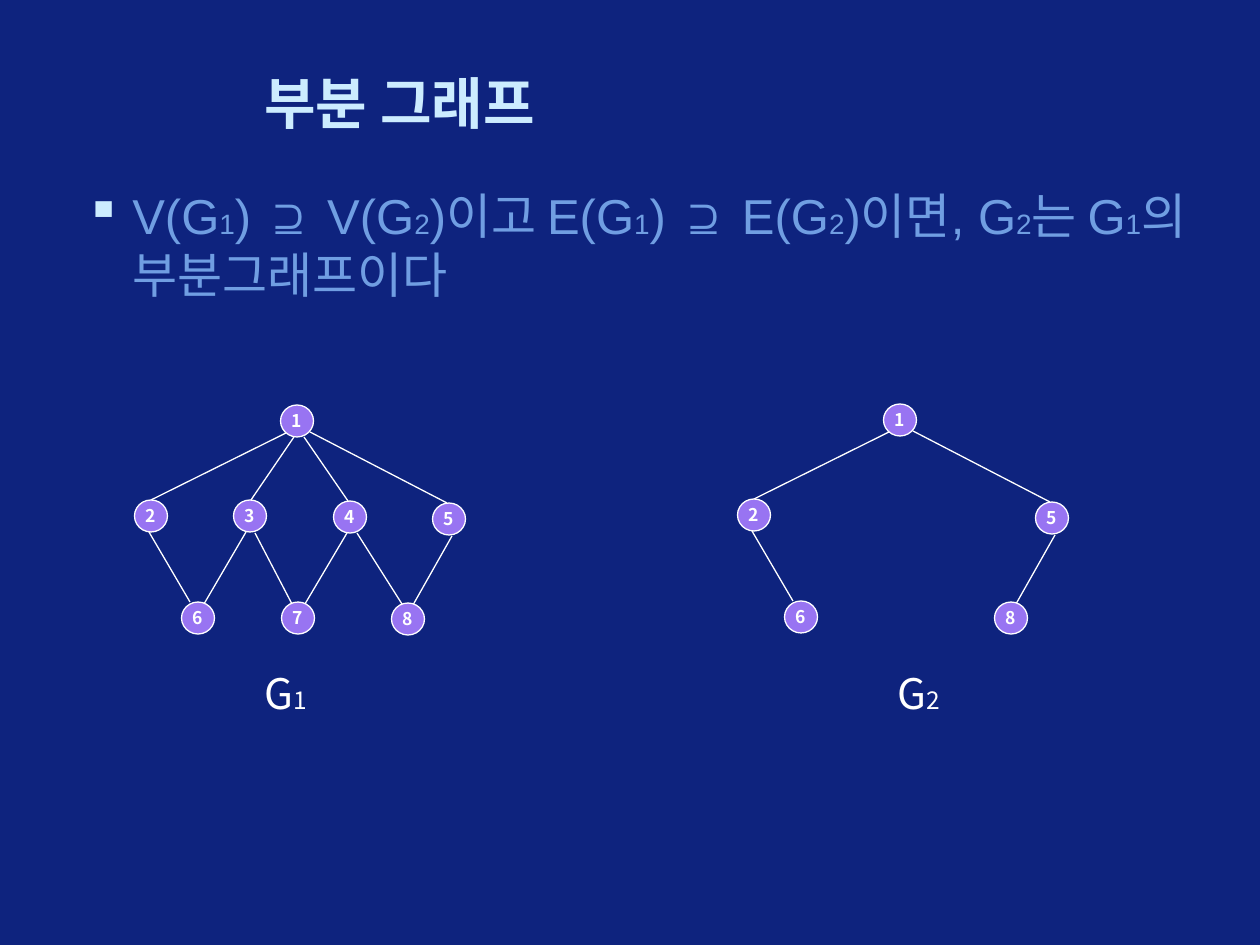
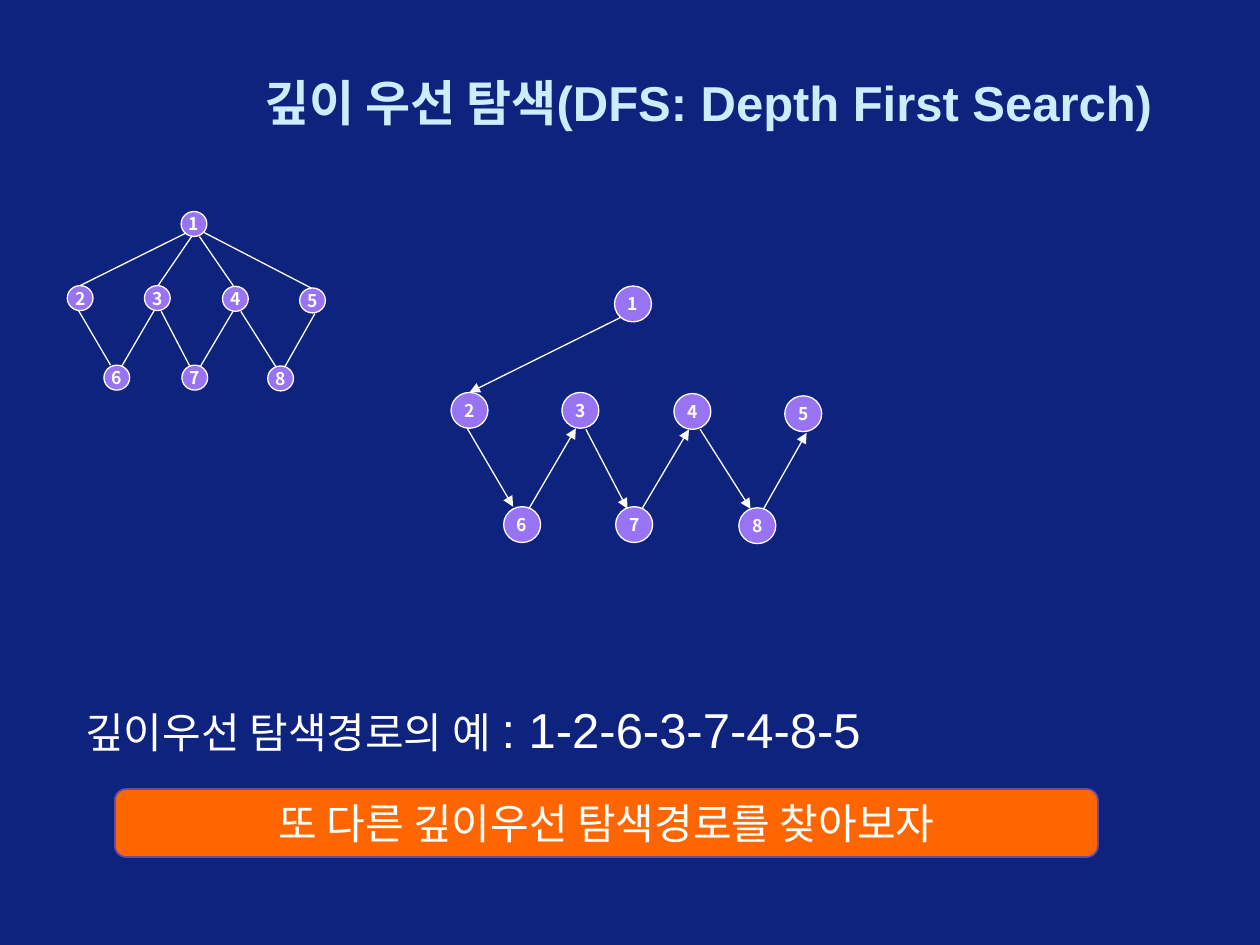
from itertools import cycle, pairwise

from lxml.etree import SubElement
from pptx import Presentation
from pptx.dml.color import RGBColor
from pptx.enum.shapes import MSO_CONNECTOR, MSO_SHAPE
from pptx.enum.text import MSO_ANCHOR, PP_ALIGN
from pptx.oxml import parse_xml
from pptx.oxml.ns import nsdecls, qn
from pptx.util import Emu, Pt

NAVY, ICE, SKY = "0E237E", "CCECFF", "709EE2"
WHITE, VIOLET, ORANGE, PLUM = "FFFFFF", "9874F2", "FF6600", "654DA2"
BODY_FONT, GRAPH_FONT = "Arial", "Noto Sans CJK KR"

VERTICES = {
    "1": (0, 0),
    "2": (-146, 95), "3": (-47, 95), "4": (53, 96), "5": (152, 98),
    "6": (-99, 197), "7": (1, 197), "8": (111, 198),
}
EDGES = {
    "12": (-11, 12, -146, 79),
    "13": (-3, 16, -46, 79),
    "14": (7, 16, 51, 80),
    "15": (13, 11, 150, 82),
    "26": (-148, 111, -107, 181),
    "63": (-93, 183, -51, 111),
    "37": (-42, 112, -5, 183),
    "74": (8, 183, 50, 112),
    "48": (60, 112, 105, 183),
    "85": (116, 184, 155, 115),
}
SUBGRAPH = ["12", "15", "26", "85"]
DFS_ROUTE = "1-2-6-3-7-4-8-5"


def px(length):
    return Emu(round(length * 914400 / 126))


def rgb(color):
    return RGBColor.from_string(color)


class Deck:
    def __init__(self):
        self.presentation = Presentation()
        self.presentation.slide_width = px(1260)
        self.presentation.slide_height = px(945)

    def new_slide(self, title, size):
        self.slide = self.presentation.slides.add_slide(
            self.presentation.slide_layouts[6])
        background = self.slide.background.fill
        background.solid()
        background.fore_color.rgb = rgb(NAVY)
        heading = self.text((252, 63, 955, 78), [(title, size)], ICE)
        heading.font.bold = True

    def fill_text(self, frame, runs, color, font):
        paragraph = frame.paragraphs[0]
        paragraph.font.name = font
        paragraph.font.color.rgb = rgb(color)
        sizes = {size for _, size in runs}
        if len(sizes) == 1:
            paragraph.font.size = Pt(sizes.pop())
        for words, size in runs:
            run = paragraph.add_run()
            run.text = words
            if paragraph.font.size is None:
                run.font.size = Pt(size)
        return paragraph

    def text(self, box, runs, color=WHITE, font=BODY_FONT, anchor=MSO_ANCHOR.MIDDLE):
        frame = self.slide.shapes.add_textbox(*map(px, box)).text_frame
        frame.word_wrap = True
        frame.vertical_anchor = anchor
        return self.fill_text(frame, runs, color, font)

    def body(self, box, runs, color, bullet=None):
        paragraph = self.text(box, runs, color, anchor=MSO_ANCHOR.TOP)
        paragraph.space_before = Pt(6)
        properties = paragraph._p.get_or_add_pPr()
        properties.set("marL", str(px(47)))
        properties.set("indent", str(px(-47)))
        if bullet:
            defaults = properties.find(qn("a:defRPr"))
            for markup in (
                f'<a:buClr {nsdecls("a")}><a:srgbClr val="{ICE}"/></a:buClr>',
                f'<a:buChar {nsdecls("a")} char="{bullet}"/>',
            ):
                defaults.addprevious(parse_xml(markup))

    def shape(self, kind, box, fill, outline, width, runs, font):
        shape = self.slide.shapes.add_shape(kind, *map(px, box))
        shape.shadow.inherit = False
        shape.fill.solid()
        shape.fill.fore_color.rgb = rgb(fill)
        shape.line.color.rgb = rgb(outline)
        shape.line.width = Pt(width)
        frame = shape.text_frame
        frame.margin_left = frame.margin_right = 0
        frame.margin_top = frame.margin_bottom = 0
        frame.word_wrap = False
        frame.vertical_anchor = MSO_ANCHOR.MIDDLE
        paragraph = self.fill_text(frame, runs, WHITE, font)
        paragraph.alignment = PP_ALIGN.CENTER
        return paragraph

    def edge(self, ends, arrow):
        connector = self.slide.shapes.add_connector(
            MSO_CONNECTOR.STRAIGHT, *map(px, ends))
        connector.line.color.rgb = rgb(WHITE)
        connector.line.width = Pt(0.75)
        properties = connector._element.spPr
        if arrow:
            SubElement(properties.find(qn("a:ln")), qn("a:tailEnd"), type="triangle")
        SubElement(properties, qn("a:effectLst"))

    def graph(self, left, top, edges, scale=1.0, arrows=False):
        for name in edges:
            x1, y1, x2, y2 = (scale * value for value in EDGES[name])
            self.edge((left + x1, top + y1, left + x2, top + y2), arrows)
        width, height = 33 * scale, 32 * scale
        for vertex in sorted(set("".join(edges))):
            x, y = VERTICES[vertex]
            box = (left + x * scale - width / 2, top + y * scale - height / 2,
                   width, height)
            label = self.shape(MSO_SHAPE.OVAL, box, VIOLET, WHITE, 0.75,
                               [(vertex, 10)], GRAPH_FONT)
            label.font.bold = True


def subgraph_slide(deck):
    deck.new_slide("부분 그래프", 32)
    definition = ["V(G", "1", ") ⊇ V(G", "2", ")이고 E(G", "1", ") ⊇ E(G", "2",
                  ")이면, G", "2", "는 G", "1", "의 부분그래프이다"]
    deck.body((73, 179, 1144, 651), list(zip(definition, cycle([28, 16]))), SKY, "▪")
    deck.graph(297, 421, EDGES)
    deck.graph(900, 420, SUBGRAPH)
    for index, left in (("1", 252), ("2", 885)):
        deck.text((left, 661, 74, 64), [("G", 24), (index, 14)], font=GRAPH_FONT)


def dfs_slide(deck):
    deck.new_slide("깊이 우선 탐색(DFS: Depth First Search)", 28)
    deck.body((73, 693, 1082, 62),
              [("깊이우선 탐색경로의 예", 24), (f" : {DFS_ROUTE}", 28)], WHITE)
    steps = [start + end for start, end in pairwise(DFS_ROUTE.split("-"))]
    deck.graph(633, 304, steps, 1.12, arrows=True)
    deck.graph(194, 224, EDGES, 0.78)
    deck.shape(MSO_SHAPE.ROUNDED_RECTANGLE, (115, 789, 983, 68), ORANGE, PLUM, 1,
               [("또 다른 깊이우선 탐색경로를 찾아보자", 24)], BODY_FONT)


def main():
    deck = Deck()
    subgraph_slide(deck)
    dfs_slide(deck)
    deck.presentation.save("out.pptx")


if __name__ == "__main__":
    main()
